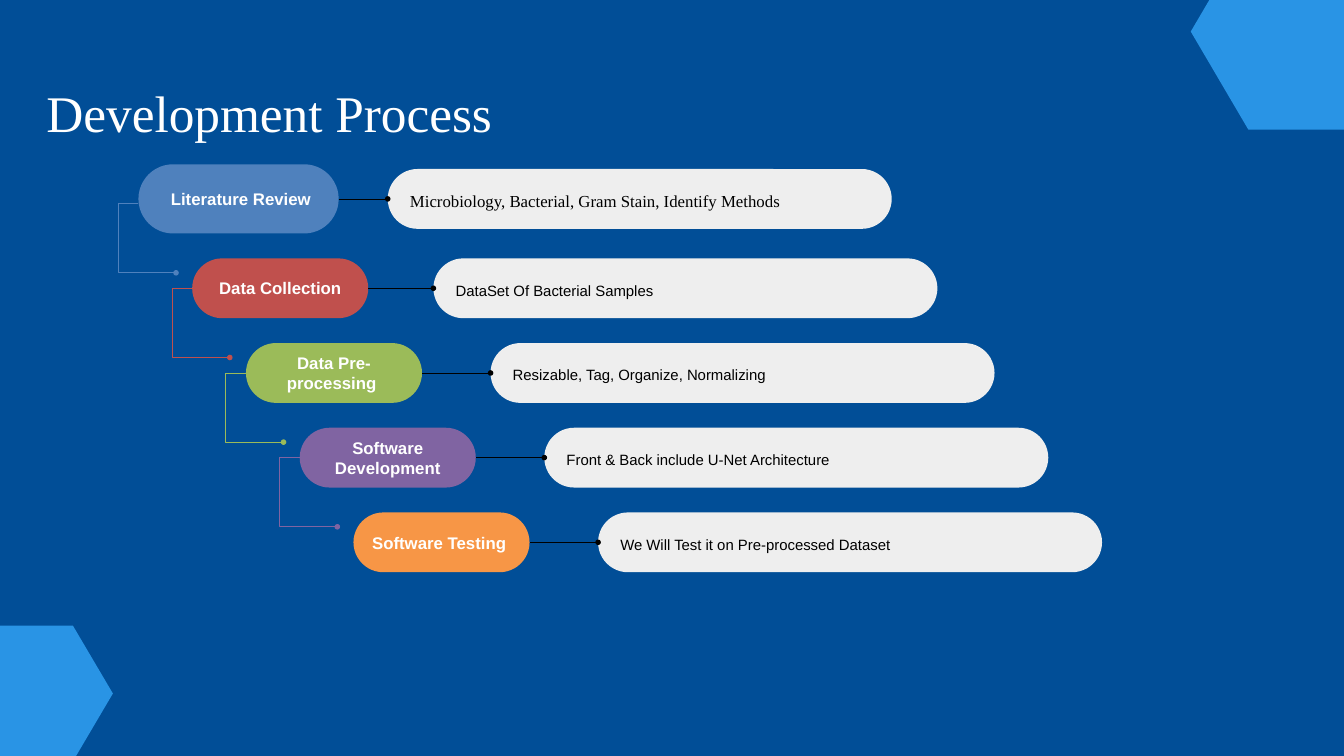
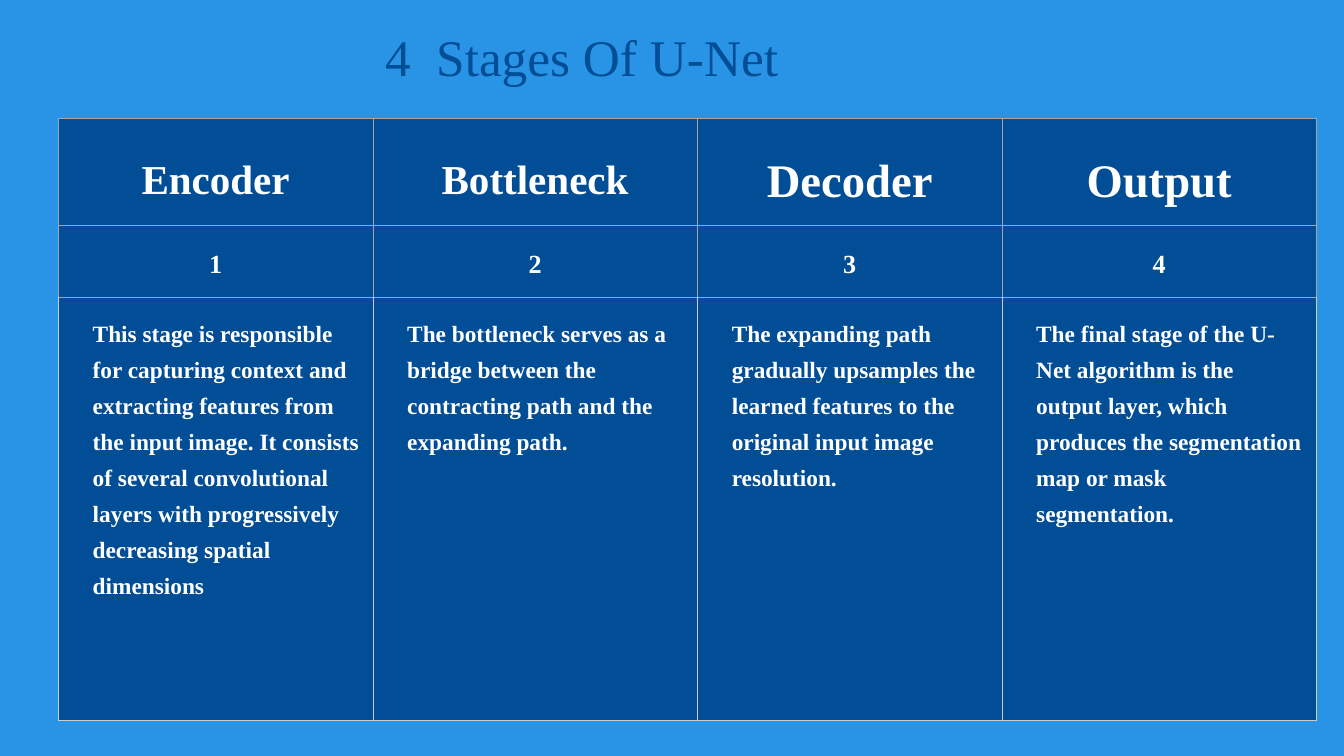
from lxml import etree
from pptx import Presentation
from pptx.dml.color import RGBColor
from pptx.enum.shapes import MSO_CONNECTOR, MSO_SHAPE
from pptx.enum.text import MSO_ANCHOR, PP_ALIGN
from pptx.oxml.ns import qn
from pptx.util import Inches, Pt

ROUNDED, STRAIGHT = MSO_SHAPE.ROUNDED_RECTANGLE, MSO_CONNECTOR.STRAIGHT
MIDDLE, TOP = MSO_ANCHOR.MIDDLE, MSO_ANCHOR.TOP
LEFT, CENTER = PP_ALIGN.LEFT, PP_ALIGN.CENTER

NAVY = RGBColor(0x01, 0x4E, 0x97)
SKY = RGBColor(0x29, 0x94, 0xE5)
WHITE = RGBColor(0xFF, 0xFF, 0xFF)
BLACK = RGBColor(0x00, 0x00, 0x00)
MIST = RGBColor(0xEE, 0xEE, 0xEE)
BLUE = RGBColor(0x4F, 0x81, 0xBD)
RED = RGBColor(0xC0, 0x50, 0x4D)
GREEN = RGBColor(0x9B, 0xBB, 0x59)
PURPLE = RGBColor(0x80, 0x64, 0xA2)
ORANGE = RGBColor(0xF7, 0x96, 0x46)
GRAY = RGBColor(0xA6, 0xA6, 0xA6)
SILVER = RGBColor(0xCC, 0xCC, 0xCC)

SERIF, SANS = "Times New Roman", "Arial"
SLIDE_W, SLIDE_H = 20, 11.25
STEP_X, STEP_Y = SLIDE_W / 25, 1.26
PILL_X, PILL_Y = 2.06, 3.03
BAR_W, BAR_H = 7.5, 0.89
HAIRLINE = Pt(0.75)

TITLE = {"name": SERIF, "size": Pt(55)}
PILL_LABEL = {"name": SANS, "size": Pt(18), "bold": True}


def write(frame, text, style, color, align=LEFT, spacing=1.0, insets=(0, 0, 0, 0), anchor=TOP):
    sides = ("margin_left", "margin_top", "margin_right", "margin_bottom")
    layout = dict(zip(sides, map(Inches, insets)), word_wrap=True, vertical_anchor=anchor)
    for key, value in layout.items():
        setattr(frame, key, value)
    paragraph = frame.paragraphs[0]
    paragraph.alignment, paragraph.line_spacing = align, spacing
    run = paragraph.add_run()
    run.text = text
    for key, value in style.items():
        setattr(run.font, key, value)
    run.font.color.rgb = color


def outline(slide, points, close):
    corners = [(Inches(x), Inches(y)) for x, y in points]
    builder = slide.shapes.build_freeform(*corners[0])
    builder.add_line_segments(corners[1:], close=close)
    figure = builder.convert_to_shape()
    figure.shadow.inherit = False
    return figure


deck = Presentation()
deck.slide_width, deck.slide_height = Inches(SLIDE_W), Inches(SLIDE_H)
process, stages = (deck.slides.add_slide(deck.slide_layouts[6]) for _ in range(2))

titles = [
    (process, NAVY, "Development Process", WHITE, (0.69, 1.02, 12.43, 1.11), 1.2),
    (stages, SKY, "4  Stages Of U-Net", NAVY, (5.73, 0.38, 11.87, 0.93), 1.0),
]
for slide, backdrop, heading, color, place, spacing in titles:
    slide.background.fill.solid()
    slide.background.fill.fore_color.rgb = backdrop
    title = slide.shapes.add_textbox(*map(Inches, place))
    write(title.text_frame, heading, TITLE, color, spacing=spacing)

for x, y, w, h in [(17.72, -0.99, 3.43, 2.92), (-0.7, 9.31, 2.38, 2.02)]:
    shares = [(0.75, 0), (0.25, 0), (0, 0.5), (0.25, 1), (0.75, 1), (1, 0.5)]
    hexagon = outline(process, [(x + w * a, y + h * b) for a, b in shares], True)
    hexagon.fill.solid()
    hexagon.fill.fore_color.rgb = SKY
    hexagon.line.fill.background()

steps = [
    (" Literature Review", "Microbiology, Bacterial, Gram Stain, Identify Methods", BLUE, 5.77),
    ("Data Collection", "DataSet Of Bacterial Samples", RED, 6.45),
    ("Data Pre-processing ", "Resizable, Tag, Organize, Normalizing", GREEN, 7.3),
    ("Software Development", "Front & Back include U-Net Architecture", PURPLE, 8.1),
    ("Software Testing ", "We Will Test it on Pre-processed Dataset", ORANGE, 8.9),
]
for i, (step, detail, color, bar_x) in enumerate(steps):
    first = i == 0
    x, elbow_y = PILL_X + i * STEP_X, PILL_Y + i * STEP_Y
    y = elbow_y - 0.07 if first else elbow_y
    pill_w, pill_h = (2.98, 1.03) if first else (2.62, BAR_H)
    detail_style = {"name": SERIF if first else SANS, "size": Pt(18 if first else 16)}
    links = []
    if i < len(steps) - 1:
        elbow = outline(process, [(x, elbow_y), (x - 0.3, elbow_y),
                                  (x - 0.3, elbow_y + 1.03), (x + 0.56, elbow_y + 1.03)], False)
        elbow.fill.background()
        links.append((elbow, color))
    capsules = [
        (x, pill_w, pill_h, color, step, PILL_LABEL, WHITE, CENTER, 1.0, 0.1),
        (bar_x, BAR_W, BAR_H, MIST, detail, detail_style, BLACK, LEFT, 1.2, 0.2),
    ]
    for left, w, h, fill, text, style, ink, align, spacing, inset in capsules:
        capsule = process.shapes.add_shape(ROUNDED, *map(Inches, (left, y - h / 2, w, h)))
        capsule.adjustments[0] = 0.5
        capsule.shadow.inherit = False
        capsule.fill.solid()
        capsule.fill.fore_color.rgb = fill
        capsule.line.fill.background()
        write(capsule.text_frame, text, style, ink, align, spacing, (inset, 0.1, 0.1, 0.1), MIDDLE)
    bridge = process.shapes.add_connector(STRAIGHT, *map(Inches, (x + pill_w, y, bar_x, y)))
    links.append((bridge, BLACK))
    for link, ink in links:
        link.line.color.rgb = ink
        link.line.width = HAIRLINE
        etree.SubElement(link.line._get_or_add_ln(), qn("a:tailEnd"), type="oval")
    etree.SubElement(bridge._element.spPr, qn("a:effectLst"))

columns = [
    (4.68, "Encoder", 44, "This stage is responsible for capturing context and extracting features "
     "from the input image. It consists of several convolutional layers with progressively "
     "decreasing spatial dimensions"),
    (4.83, "Bottleneck", 44, "The bottleneck serves as a bridge between the contracting path "
     "and the expanding path."),
    (4.53, "Decoder", 50, "The expanding path gradually upsamples the learned features to the "
     "original input image resolution."),
    (4.68, "Output", 50, "The final stage of the U-Net algorithm is the output layer, which "
     "produces the segmentation map or mask segmentation."),
]
row_heights = [1.44, 0.73, 6.3]
grid = stages.shapes.add_table(len(row_heights), len(columns), Inches(0.87), Inches(1.76),
                               Inches(18.72), Inches(sum(row_heights))).table
for row, height in zip(grid.rows, row_heights):
    row.height = Inches(height)
for c, (width, stage, stage_size, summary) in enumerate(columns):
    grid.columns[c].width = Inches(width)
    entries = [(stage, stage_size, CENTER, MIDDLE), (str(c + 1), 28, CENTER, TOP),
               (summary, 25, LEFT, TOP)]
    for r, (text, size, align, anchor) in enumerate(entries):
        cell = grid.cell(r, c)
        is_summary = r == 2
        style = {"name": SERIF, "size": Pt(size), "bold": True}
        write(cell.text_frame, text, style, WHITE, align, 1.4)
        for side in ("left", "top", "right", "bottom"):
            setattr(cell, "margin_" + side, Inches(0.21))
        cell.vertical_anchor = anchor
        if is_summary:
            cell.text_frame.paragraphs[0]._p.get_or_add_pPr().set("marL", str(Inches(0.3)))
        properties = cell._tc.get_or_add_tcPr()
        for edge in ("lnL", "lnR", "lnT", "lnB"):
            border = etree.SubElement(properties, qn("a:" + edge), w=str(HAIRLINE))
            ink = etree.SubElement(border, qn("a:solidFill"))
            shade = SILVER if is_summary and edge != "lnT" else GRAY
            etree.SubElement(ink, qn("a:srgbClr"), val=str(shade))
        cell.fill.solid()
        cell.fill.fore_color.rgb = NAVY

deck.save("out.pptx")
